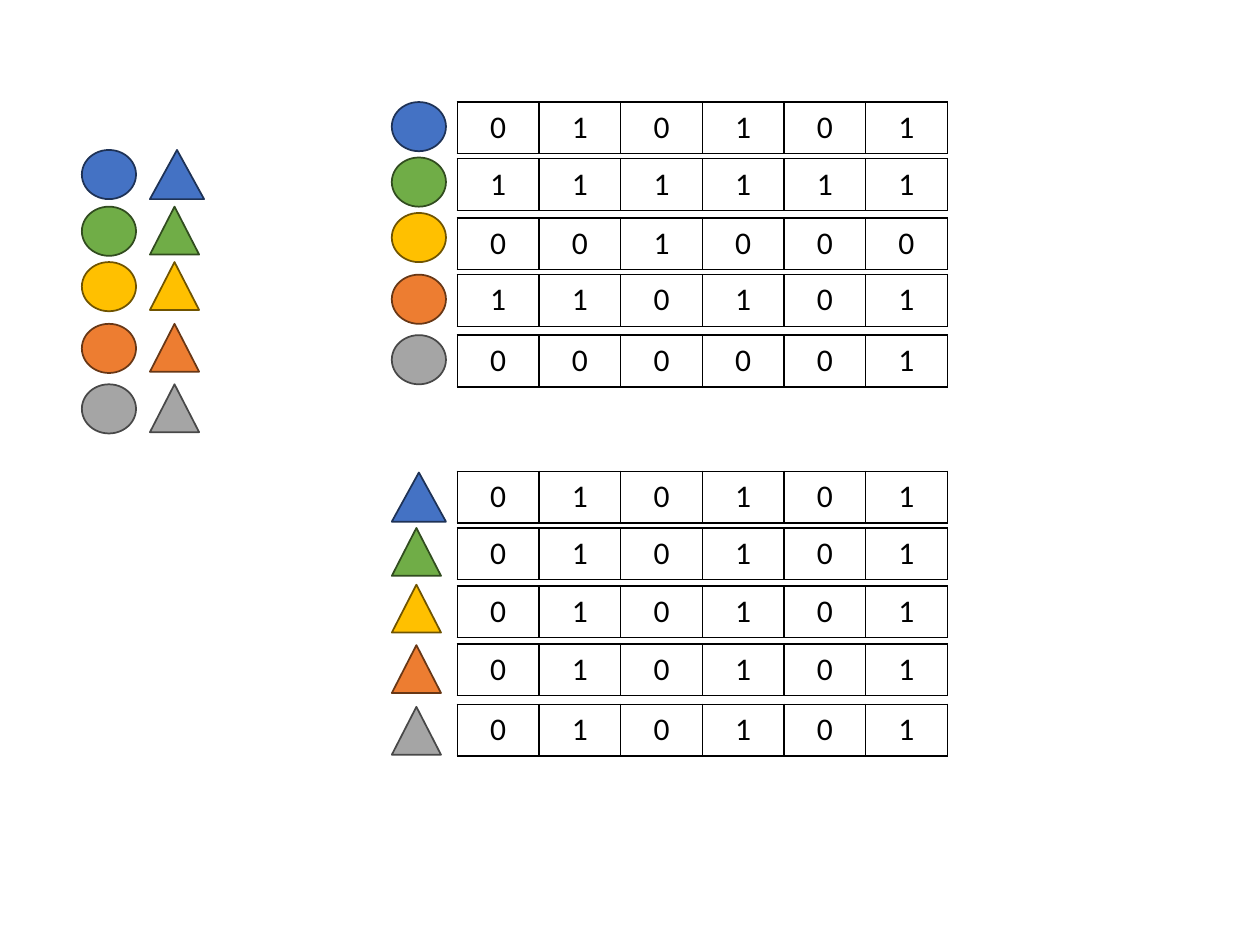
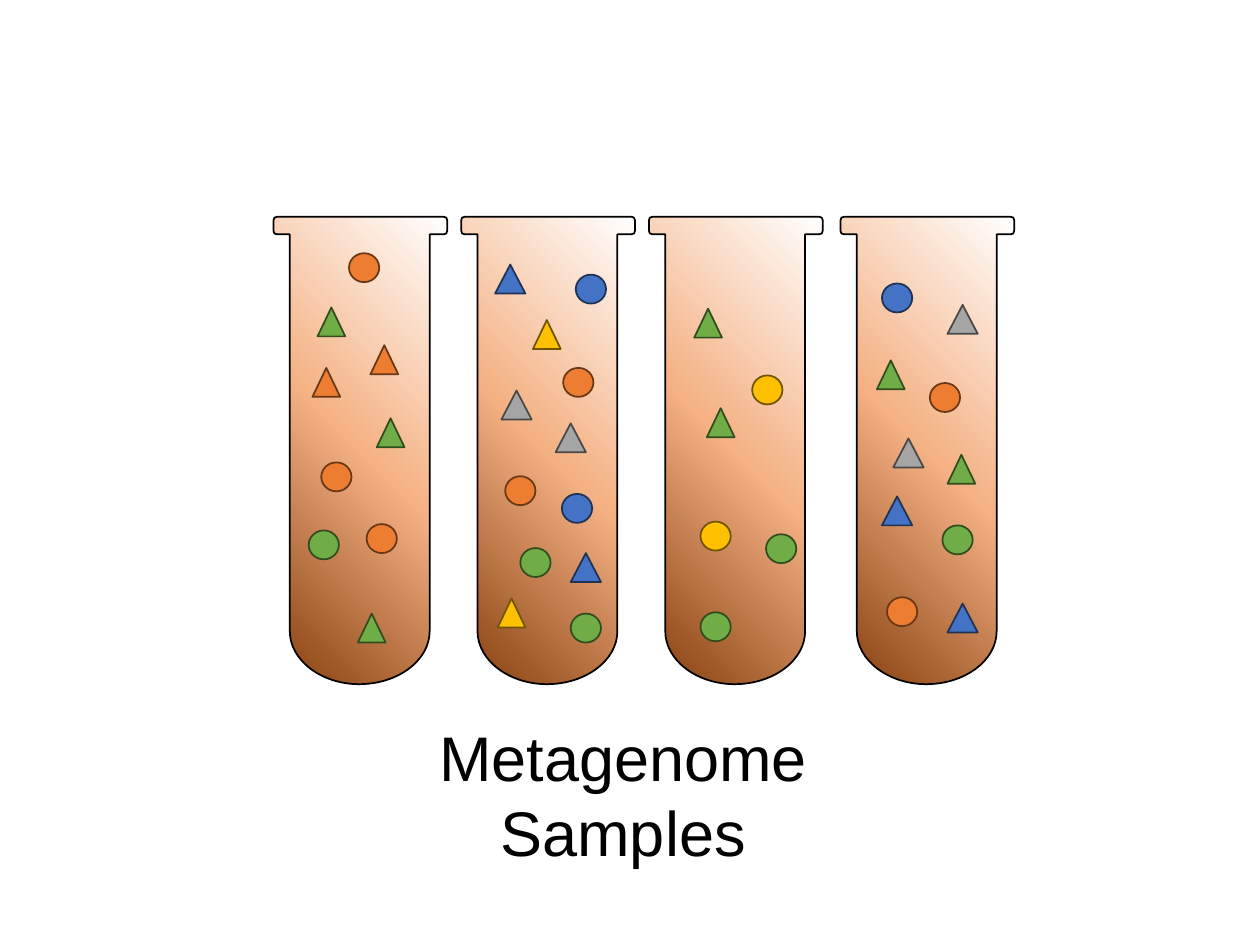
from copy import deepcopy

from lxml import etree
from pptx import Presentation
from pptx.dml.color import RGBColor
from pptx.enum.shapes import MSO_SHAPE
from pptx.enum.text import MSO_AUTO_SIZE, PP_ALIGN
from pptx.oxml.ns import qn
from pptx.util import Emu, Pt

PX = 9144
CIRCLE = MSO_SHAPE.OVAL
TRIANGLE = MSO_SHAPE.ISOSCELES_TRIANGLE
CENTER = PP_ALIGN.CENTER
FIT_SHAPE = MSO_AUTO_SIZE.SHAPE_TO_FIT_TEXT

COLORS = {
    "blue": "4472C4", "green": "70AD47", "yellow": "FFC000",
    "orange": "ED7D31", "gray": "A5A5A5", "black": "000000",
    "blue edge": "1E3256", "green edge": "314C1F", "yellow edge": "705400",
    "orange edge": "683715", "gray edge": "484848",
    "soil": "843C0B", "clay": "F4B183", "white": "FFFFFF",
}
RGB = {name: RGBColor.from_string(value) for name, value in COLORS.items()}


def add_marker(slide, kind, color, x, y, w, h):
    sp = slide.shapes.add_shape(kind, *[Emu(v * PX) for v in (x, y, w, h)])
    sp.shadow.inherit = False
    sp.fill.solid()
    sp.fill.fore_color.rgb = RGB[color]
    sp.line.color.rgb = RGB[f"{color} edge"]
    sp.line.width = Pt(1)


def add_run(tf, text, font, size):
    p = tf.paragraphs[0]
    p.alignment = CENTER
    r = p.add_run()
    r.text = text
    r.font.name = font
    r.font.size = Pt(size)
    r.font.color.rgb = RGB["black"]


prs = Presentation()
prs.slide_width = Emu(1000 * PX)
prs.slide_height = Emu(750 * PX)
blank = prs.slide_layouts[6]

s = prs.slides.add_slide(blank)
genes = ["blue", "green", "yellow", "orange", "gray"]
legend_tops = [119, 164, 208, 257, 305]
circle_tops = [81, 125, 169, 218, 266]
triangle_tops = [375, 419, 464, 512, 561]

marker_columns = [
    (CIRCLE, 65, legend_tops), (TRIANGLE, 119, legend_tops),
    (CIRCLE, 311, circle_tops), (TRIANGLE, 311, triangle_tops),
]
for kind, x, tops in marker_columns:
    for color, y in zip(genes, tops):
        narrow = kind == TRIANGLE and color != "blue"
        w, h = (39, 38) if narrow else (43, 39)
        add_marker(s, kind, color, x, y, w, h)

profiles = [
    (81, "010101"), (126, "111111"), (173, "001000"), (218, "110101"), (266, "000001"),
    (374, "010101"), (419, "010101"), (465, "010101"), (511, "010101"), (559, "010101"),
]
for y, bits in profiles:
    frame = s.shapes.add_table(1, len(bits), Emu(363 * PX), Emu(y * PX),
                               Emu(389 * PX), Emu(41 * PX))
    table = frame.table
    table.first_row = False
    table.horz_banding = False
    for cell, bit in zip(table.rows[0].cells, bits):
        add_run(cell.text_frame, bit, "Calibri", 18)
        cell.fill.background()
        tcPr = cell._tc.get_or_add_tcPr()
        for i, side in enumerate(["lnL", "lnR", "lnT", "lnB"]):
            ln = etree.Element(qn(f"a:{side}"), w=str(Pt(1)))
            fill = etree.SubElement(ln, qn("a:solidFill"))
            etree.SubElement(fill, qn("a:srgbClr"), val=COLORS["black"])
            tcPr.insert(i, ln)

s = prs.slides.add_slide(blank)
tube_segments = [
    [(135, 0)],
    [(137, 0), (138, 1), (138, 3)],
    [(138, 11)],
    [(138, 13), (137, 14), (135, 14)],
    [(124, 14)],
    [(124, 329)],
    [(124, 352), (99, 371), (68, 371)],
    [(38, 371), (13, 352), (13, 329)],
    [(13, 14)],
    [(3, 14)],
    [(1, 14), (0, 13), (0, 11)],
    [(0, 3)],
    [(0, 1), (1, 0), (3, 0)],
]
for x in [217, 366, 667, 515]:
    builder = s.shapes.build_freeform(3, 0, scale=PX)
    for points in tube_segments:
        builder.add_line_segments(points, close=False)
    builder.add_line_segments([], close=True)
    sp = builder.convert_to_shape(Emu(x * PX), Emu(172 * PX))
    lines = iter(list(sp._element.iter(qn("a:lnTo"))))
    for points in tube_segments:
        first, *others = [next(lines) for _ in points]
        if others:
            first.tag = qn("a:cubicBezTo")
            for line in others:
                first.append(line[0])
                line.getparent().remove(line)
    sp.shadow.inherit = False
    sp.fill.gradient()
    sp.fill.gradient_angle = 45
    gsLst = sp._element.spPr.find(qn("a:gradFill")).find(qn("a:gsLst"))
    gsLst.append(deepcopy(gsLst[0]))
    for stop, color, position in zip(sp.fill.gradient_stops,
                                     ["soil", "clay", "white"], [0, 0.5, 1]):
        stop.color.rgb = RGB[color]
        stop.position = position
    sp.line.color.rgb = RGB["black"]
    sp.line.width = Pt(1)

caption = s.shapes.add_textbox(Emu(277 * PX), Emu(565 * PX), Emu(435 * PX), Emu(131 * PX))
tf = caption.text_frame
tf.word_wrap = True
tf.auto_size = FIT_SHAPE
add_run(tf, "Metagenome Samples", "Arial", 36)

sample_markers = [
    (CIRCLE, "blue", [(446, 392), (457, 218), (700, 225)]),
    (CIRCLE, "green", [(245, 421), (413, 435), (453, 487), (556, 486),
                       (608, 424), (748, 417)]),
    (CIRCLE, "yellow", [(597, 298), (556, 414)]),
    (CIRCLE, "orange", [(277, 201), (255, 367), (291, 416), (401, 378),
                        (447, 292), (704, 474), (738, 304)]),
    (TRIANGLE, "blue", [(393, 210), (453, 439), (752, 479), (700, 394)]),
    (TRIANGLE, "green", [(252, 244), (299, 332), (284, 487), (551, 245),
                         (561, 324), (696, 286), (752, 361)]),
    (TRIANGLE, "yellow", [(395, 475), (423, 254)]),
    (TRIANGLE, "orange", [(248, 292), (294, 274)]),
    (TRIANGLE, "gray", [(441, 336), (398, 310), (709, 348), (752, 242)]),
]
for kind, color, places in sample_markers:
    w = 24 if kind == CIRCLE or color in ("blue", "gray") else 22
    for x, y in places:
        add_marker(s, kind, color, x, y, w, 23)

prs.save("out.pptx")
